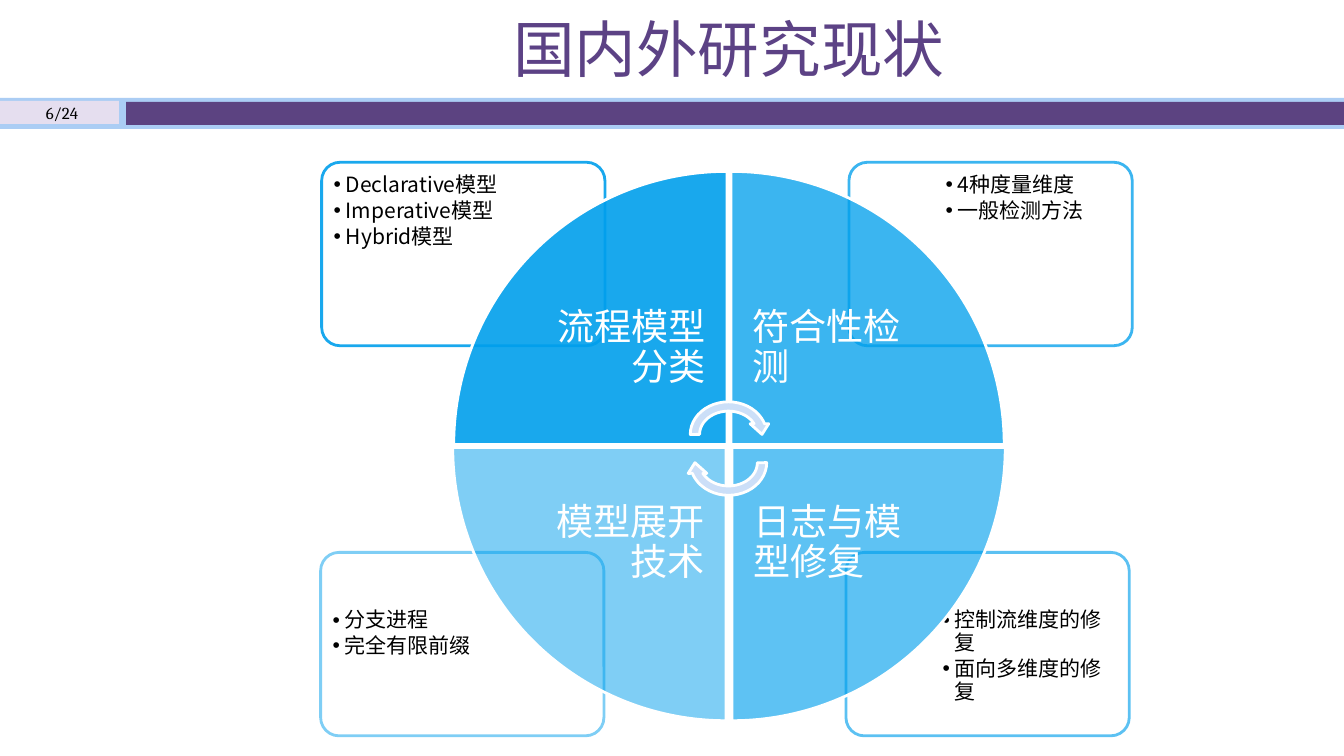
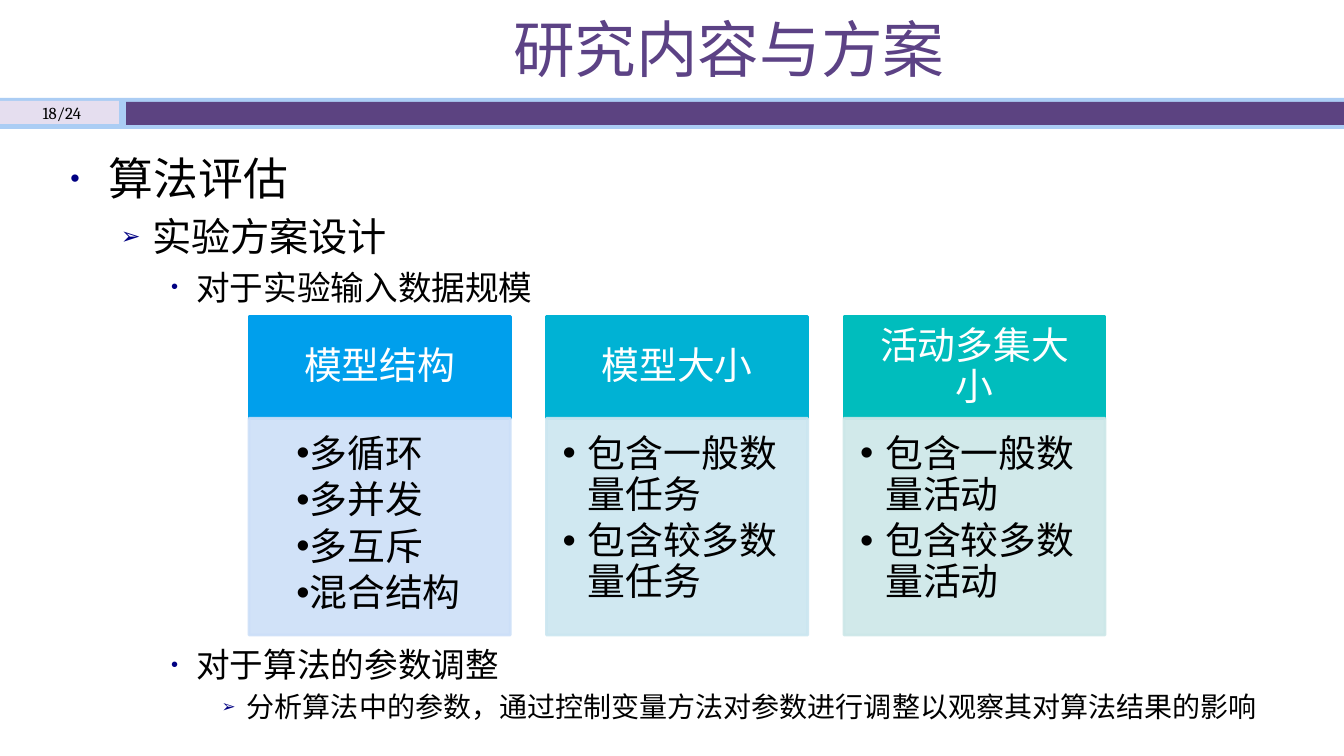
"""Build two slides on research status and research plan."""
from lxml import etree
from pptx import Presentation
from pptx import util as u
from pptx.dml import color as dml
from pptx.enum import shapes, text
from pptx.oxml import ns

STATUS = {
    "title": "国内外研究现状",
    "number": "6/24",
    "quadrants": [
        {"label": "流程模型分类", "right": 0, "lower": 0, "turn": 0, "alpha": 90, "card": (3.19, 1.61),
         "points": ["Declarative模型", "Imperative模型", "Hybrid模型"]},
        {"label": "符合性检测", "right": 1, "lower": 0, "turn": 90, "alpha": 77, "card": (8.42, 1.61),
         "points": ["4种度量维度", "一般检测方法"]},
        {"label": "日志与模型修复", "right": 1, "lower": 1, "turn": 180, "alpha": 63, "card": (8.39, 5.48),
         "points": ["控制流维度的修复", "面向多维度的修复"]},
        {"label": "模型展开技术", "right": 0, "lower": 1, "turn": 270, "alpha": 50, "card": (3.18, 5.48),
         "points": ["分支进程", "完全有限前缀"]},
    ],
}
PLAN = {
    "title": "研究内容与方案",
    "number": "18/24",
    "outlines": [
        ((0.6, 1.45, 12, 5.86), [("算法评估", 0), ("实验方案设计", 1), ("对于实验输入数据规模", 2)]),
        ((0.6, 6.34, 12, 1.43), [
            ("对于算法的参数调整", 2),
            ("分析算法中的参数，通过控制变量方法对参数进行调整以观察其对算法结果的影响", 3)]),
    ],
    "columns": [
        ("模型结构", "009FEC", "CCDFF8", (0.31, 0), ["多循环", "多并发", "多互斥", "混合结构"]),
        ("模型大小", "00B2D4", "CBE6F0", (0.25, -0.25), ["包含一般数量任务", "包含较多数量任务"]),
        ("活动多集大小", "00BDBD", "CCE7E8", (0.25, -0.25), ["包含一般数量活动", "包含较多数量活动"]),
    ],
}


class Theme:
    """Colours, fonts and type sizes of the deck."""
    white, black = "FFFFFF", "000000"
    purple, title, lilac, sky = "5C4381", "5C4285", "E5DEEF", "ABCDF4"
    blue, pale, navy = "009FEC", "CCDFF8", "000082"
    cjk, heading, digits = "Noto Sans CJK SC", "Calibri", "Cambria"
    title_size, number_size = 44, 12
    point_size, label_size, column_size = 15, 26.5, 27
    outline_sizes = (32, 28, 24, 20)
    outline_indents = ((0.38, -0.38), (0.81, -0.31), (1.25, -0.25), (1.75, -0.25))
    outline_marks = "•➢•➢"


ALIGN, ANCHOR, SHAPE = text.PP_ALIGN, text.MSO_ANCHOR, shapes.MSO_SHAPE
BANDS = [
    ((0, 0.97, 13.33, 0.31), Theme.sky),
    ((0, 1, 1.18, 0.23), Theme.lilac),
    ((1.25, 1.01, 12.08, 0.23), Theme.purple),
]


def style(size, color=Theme.black, font=Theme.cjk, bullet=None, indent=None, **para):
    """Describe how a paragraph looks."""
    return {"font": {"size": u.Pt(size), "name": font}, "color": color,
            "bullet": bullet, "indent": indent, "para": para}


def point_style(size, indent):
    """Describe a bulleted point in a card."""
    return style(size, bullet={"char": "•"}, indent=indent, level=1,
                 line_spacing=0.9, space_after=u.Pt(size * 0.15))


def label_style(size, alignment):
    """Describe a white label on a coloured shape."""
    return style(size, Theme.white, alignment=alignment, line_spacing=0.9)


def outline_style(level):
    """Describe one level of the outline."""
    size = Theme.outline_sizes[level]
    bullet = {"char": Theme.outline_marks[level], "color": Theme.navy, "percent": 60}
    return style(size, bullet=bullet, indent=Theme.outline_indents[level],
                 level=level, space_before=u.Pt(size * 0.2))


def add_xml(parent, tag, **values):
    """Append a drawing element with attributes."""
    child = etree.SubElement(parent, ns.qn(tag))
    for name, value in values.items():
        child.set(name, str(value))
    return child


def set_bullet(para, bullet, indent):
    """Give a paragraph its bullet and indents."""
    props = para._p.get_or_add_pPr()
    for name, value in zip(("marL", "indent"), indent):
        props.set(name, str(int(u.Inches(value))))
    if "color" in bullet:
        add_xml(add_xml(props, "a:buClr"), "a:srgbClr", val=bullet["color"])
        add_xml(props, "a:buSzPct", val=bullet["percent"] * 1000)
    add_xml(props, "a:buFont", typeface="Arial")
    add_xml(props, "a:buChar", char=bullet["char"])


def write(box, entries, anchor=ANCHOR.TOP, insets=(0.1, 0.05, 0.1, 0.05)):
    """Fill a box with (words, style) paragraphs."""
    frame = box.text_frame
    frame.word_wrap = True
    frame.vertical_anchor = anchor
    for side, inset in zip(("left", "top", "right", "bottom"), insets):
        setattr(frame, f"margin_{side}", u.Inches(inset))
    for index, (words, look) in enumerate(entries):
        para = frame.add_paragraph() if index else frame.paragraphs[0]
        for name, value in ({"alignment": ALIGN.LEFT} | look["para"]).items():
            setattr(para, name, value)
        if look["bullet"]:
            set_bullet(para, look["bullet"], look["indent"])
        span = para.add_run()
        span.text = words
        for name, value in look["font"].items():
            setattr(span.font, name, value)
        span.font.color.rgb = dml.RGBColor.from_string(look["color"])
        add_xml(span._r.get_or_add_rPr(), "a:ea", typeface=look["font"]["name"])


def add_text(page, place, entries, **layout):
    """Add a text box."""
    write(page.shapes.add_textbox(*map(u.Inches, place)), entries, **layout)


def paint(fill, color, alpha):
    """Set a solid colour with an opacity in percent."""
    fill.solid()
    fill.fore_color.rgb = dml.RGBColor.from_string(color)
    if alpha < 100:
        add_xml(fill._xPr.find(".//" + ns.qn("a:srgbClr")), "a:alpha", val=alpha * 1000)


def add_block(page, kind, place, color, alpha=100, line=None, line_alpha=100, turn=0):
    """Add a preset shape."""
    block = page.shapes.add_shape(kind, *map(u.Inches, place))
    block.shadow.inherit = False
    block.rotation = turn
    paint(block.fill, color, alpha)
    if line:
        block.line.width = u.Pt(2)
        paint(block.line.fill, line, line_alpha)
    else:
        block.line.fill.background()
    return block


def add_page(deck, content):
    """Add a page with bands, title and page number."""
    page = deck.slides.add_slide(deck.slide_layouts[6])
    for place, color in BANDS:
        add_block(page, SHAPE.RECTANGLE, place, color)
    title = style(Theme.title_size, Theme.title, Theme.heading, alignment=ALIGN.CENTER)
    number = style(Theme.number_size, font=Theme.digits, alignment=ALIGN.CENTER)
    add_text(page, (1.23, 0.03, 12, 0.9), [(content["title"], title)], anchor=ANCHOR.MIDDLE)
    add_text(page, (0, 0.96, 1.23, 0.31), [(content["number"], number)], anchor=ANCHOR.MIDDLE)
    return page


def add_card(page, quadrant):
    """Add the outlined card behind a quadrant."""
    left, top = quadrant["card"]
    card = add_block(page, SHAPE.ROUNDED_RECTANGLE, (left, top, 2.81, 1.82), Theme.white, 90,
                     Theme.blue, quadrant["alpha"])
    card.adjustments[0] = 0.1
    look = point_style(Theme.point_size, (0.12, -0.12))
    place = (left + (0.88 if quadrant["right"] else 0.04),
             top + (0.49 if quadrant["lower"] else 0.04), 1.89, 1.28)
    add_text(page, place, [(point, look) for point in quadrant["points"]], insets=(0.08,) * 4)


def add_wedge(page, quadrant):
    """Add a quarter of the wheel and its label."""
    side, label, center = 2.71, 1.91, 7.23
    right, lower = quadrant["right"], quadrant["lower"]
    gap = 0.03 if lower else 0.02
    left = center + gap if right else center - gap - side
    top = 4.44 if lower else 1.7
    add_block(page, SHAPE.PIE_WEDGE, (left, top, side, side), Theme.blue, quadrant["alpha"],
              Theme.white, turn=quadrant["turn"])
    place = (left + (0 if right else side - label), top + (0 if lower else side - label), label, label)
    look = label_style(Theme.label_size, ALIGN.LEFT if right else ALIGN.RIGHT)
    add_text(page, place, [(quadrant["label"], look)], anchor=ANCHOR.MIDDLE, insets=(0.21,) * 4)


def build_status(deck):
    """Build the wheel of four research areas."""
    page = add_page(deck, STATUS)
    for quadrant in reversed(STATUS["quadrants"]):
        add_card(page, quadrant)
    for quadrant in STATUS["quadrants"]:
        add_wedge(page, quadrant)
    for top, turn in ((3.94, 0), (4.22, 180)):
        add_block(page, SHAPE.CIRCULAR_ARROW, (6.8, top, 0.85, 0.74), Theme.pale,
                  line=Theme.white, turn=turn)


def build_plan(deck):
    """Build the outline with three headed columns."""
    page = add_page(deck, PLAN)
    for place, entries in PLAN["outlines"]:
        add_text(page, place, [(words, outline_style(level)) for words, level in entries])
    left, top, width, step = 2.47, 3.14, 2.59, 2.95
    head_height, body_height = 1.01, 2.15
    heading = label_style(Theme.column_size, ALIGN.CENTER)
    for index, (label, strong, soft, indent, points) in enumerate(PLAN["columns"]):
        x = left + index * step
        head = add_block(page, SHAPE.RECTANGLE, (x, top, width, head_height), strong, line=strong)
        write(head, [(label, heading)], ANCHOR.MIDDLE, (0.21, 0.12, 0.21, 0.12))
        body = add_block(page, SHAPE.RECTANGLE, (x, top + head_height, width, body_height), soft, 90,
                         soft, 90)
        look = point_style(Theme.column_size, indent)
        write(body, [(point, look) for point in points], insets=(0.16, 0.16, 0.21, 0.24))


def main():
    """Build and save the deck."""
    deck = Presentation()
    deck.slide_width, deck.slide_height = u.Inches(13.33), u.Inches(7.5)
    build_status(deck)
    build_plan(deck)
    deck.save("out.pptx")


if __name__ == "__main__":
    main()
